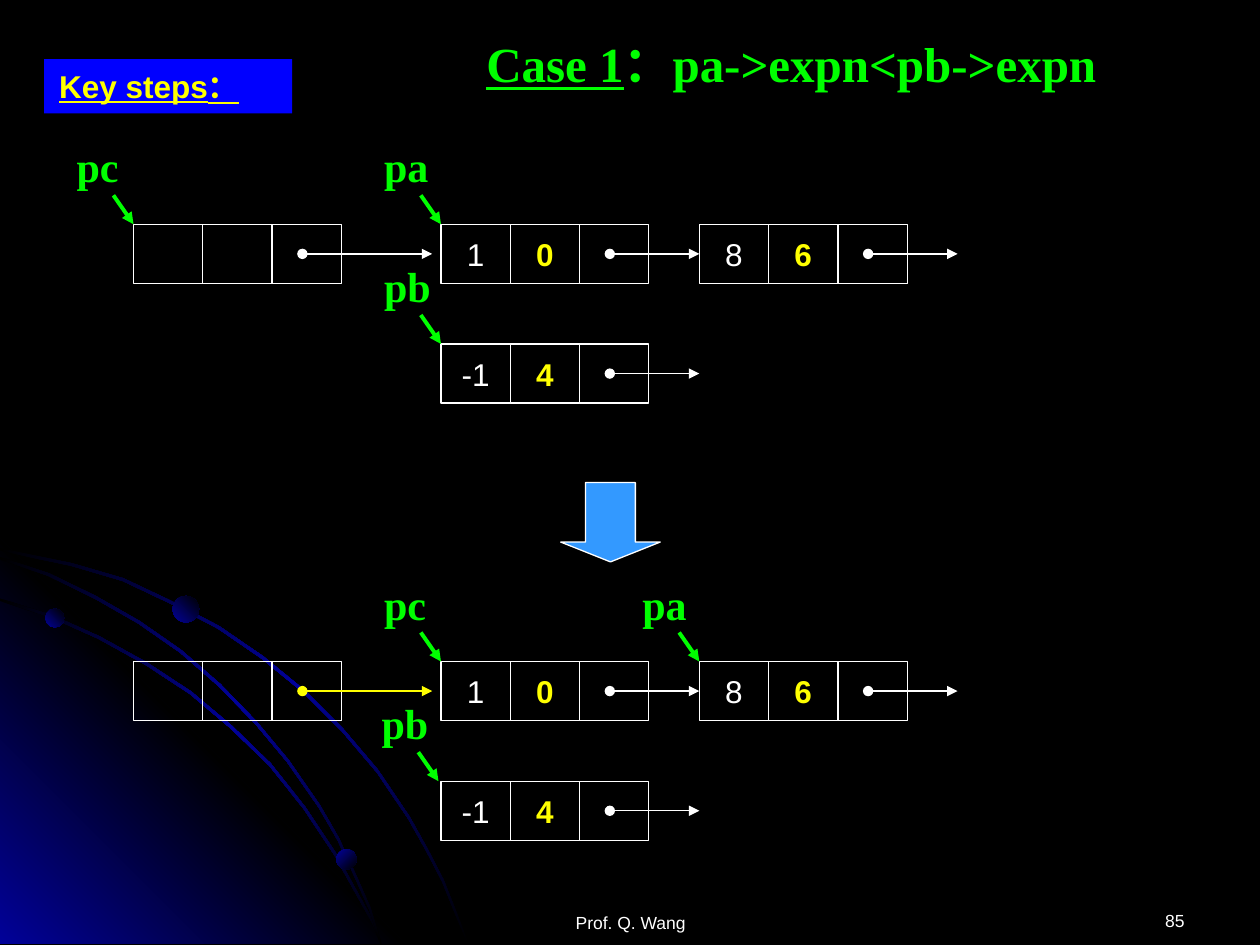
"""Build the slide on merging two linked polynomial lists, case 1."""
import copy
import lxml.etree
import pptx
import pptx.dml.color
import pptx.enum.shapes
import pptx.enum.text
import pptx.oxml.ns
import pptx.util

Inches = pptx.util.Inches
Shape = pptx.enum.shapes.MSO_SHAPE
Align = pptx.enum.text.PP_ALIGN
Fit = pptx.enum.text.MSO_AUTO_SIZE
Anchor = pptx.enum.text.MSO_ANCHOR
qn = pptx.oxml.ns.qn

WHITE, GREEN, YELLOW = "FFFFFF", "00FF00", "FFFF00"
BLACK, NAVY = "000000", "010199"
CELL, TALL = 0.55, 0.47
LEFTS = (1.06, 3.5, 5.55)
DROP = 0.95
WIDE = {"margin_left": Inches(0.12), "margin_right": Inches(0.12),
        "margin_top": Inches(0.06), "margin_bottom": Inches(0.06)}
LABEL = {"size": pptx.util.Pt(24), "name": "Times New Roman", "bold": True}
BODY = {"size": pptx.util.Pt(18), "name": "Arial"}
SMALL = {"size": pptx.util.Pt(10), "name": "Arial"}

CURVES = (
    ((0, 4.35), (0.28, 4.41), (0.57, 4.47), (0.98, 4.59), (1.36, 4.77),
     (1.74, 4.97), (2.09, 5.21), (2.42, 5.48), (2.72, 5.78), (3, 6.11),
     (3.25, 6.48), (3.39, 6.73), (3.52, 6.98), (3.62, 7.23), (3.72, 7.49)),
    ((0, 4.75), (0.41, 4.88), (0.79, 5.05), (1.17, 5.26), (1.52, 5.49),
     (1.84, 5.76), (2.15, 6.06), (2.42, 6.4), (2.66, 6.76), (2.86, 7.12),
     (2.96, 7.3), (3.03, 7.49)),
    ((0, 4.42), (0.39, 4.55), (0.76, 4.73), (1.11, 4.93), (1.44, 5.16),
     (1.75, 5.43), (2.04, 5.73), (2.29, 6.03), (2.54, 6.39), (2.69, 6.65),
     (2.82, 6.93), (2.94, 7.2), (3.03, 7.49)),
)


def rgb(code):
    """Turn a hex string into a colour."""
    return pptx.dml.color.RGBColor.from_string(code)


def put(obj, vals):
    """Set each named value on an object."""
    for name, val in vals.items():
        setattr(obj, name, val)


def write(frame, runs, font, hue, align=Align.LEFT):
    """Fill the first paragraph with runs of text and underline flags."""
    para = frame.paragraphs[0]
    para.alignment = align
    for text, under in runs:
        run = para.add_run()
        run.text = text
        put(run.font, {**font, "underline": under})
        run.font.color.rgb = rgb(hue)


def block(slide, kind, box, fill=None, line=None):
    """Add a preset shape with a flat fill and a thin line."""
    shape = slide.shapes.add_shape(kind, *map(Inches, box))
    shape.shadow.inherit = False
    for paint, hue in ((shape.fill, fill), (shape.line.fill, line)):
        if hue:
            paint.solid()
            paint.fore_color.rgb = rgb(hue)
        else:
            paint.background()
    if line:
        shape.line.width = pptx.util.Pt(0.75)
    return shape


def blend(shape, hues, angle):
    """Give a shape an evenly spaced gradient at an anticlockwise angle."""
    shape.shadow.inherit = False
    shape.line.fill.background()
    shape.fill.gradient()
    shape.fill.gradient_angle = angle
    stops = shape._element.spPr.find(".//" + qn("a:gsLst"))
    for _ in hues[2:]:
        stops.append(copy.deepcopy(stops[0]))
    for rank, (stop, hue) in enumerate(zip(shape.fill.gradient_stops, hues)):
        stop.position = rank / (len(hues) - 1)
        stop.color.rgb = rgb(hue)


def outline(slide, points):
    """Add a closed outline through points in inches."""
    spots = [(Inches(x), Inches(y)) for x, y in points]
    pen = slide.shapes.build_freeform(*spots[0])
    pen.add_line_segments(spots[1:], close=True)
    return pen.convert_to_shape()


def arrow(slide, start, end, hue, width=0.75, head=None):
    """Add a straight arrow, with an optional mark at its start."""
    link = slide.shapes.add_connector(
        pptx.enum.shapes.MSO_CONNECTOR.STRAIGHT, *map(Inches, start + end))
    put(link.line, {"width": pptx.util.Pt(width)})
    link.line.color.rgb = rgb(hue)
    props = link._element.spPr
    line = props.find(qn("a:ln"))
    if head:
        lxml.etree.SubElement(line, qn("a:headEnd"), type=head)
    lxml.etree.SubElement(line, qn("a:tailEnd"), type="triangle")
    lxml.etree.SubElement(props, qn("a:effectLst"))
    return link


def scene(slide):
    """Draw the glowing corner with its orbits and beads."""
    slide.background.fill.solid()
    slide.background.fill.fore_color.rgb = rgb(BLACK)
    corner = outline(slide, ((0, 4.27), (3.22, 7.49), (0, 7.49)))
    blend(corner, (NAVY, BLACK, NAVY), 45)
    for curve in CURVES:
        back = [(max(0, x - 0.01), min(7.49, y + 0.02))
                for x, y in reversed(curve)]
        blend(outline(slide, [*curve, *back]), (BLACK, NAVY, BLACK), 315)
    for x, y, size, angle in ((0.36, 4.83, 0.15, 45), (2.67, 6.74, 0.16, 315),
                              (1.37, 4.73, 0.21, 45)):
        bead = block(slide, Shape.OVAL, (x, y, size, size))
        blend(bead, (NAVY, BLACK), angle)


def header(slide):
    """Place the title and the key steps tag."""
    title = slide.shapes.title
    put(title, dict(zip(("left", "top", "width", "height"),
                        map(Inches, (3.74, 0.21, 5.67, 0.59)))))
    put(title.text_frame, {**WIDE, "word_wrap": True, "auto_size": Fit.NONE,
                           "vertical_anchor": Anchor.TOP})
    write(title.text_frame, (("Case 1", True), ("：pa->expn<pb->expn", False)),
          {**LABEL, "size": pptx.util.Pt(28)}, GREEN)
    steps = block(slide, Shape.RECTANGLE, (0.35, 0.47, 1.97, 0.43), "0000FF")
    put(steps.text_frame, {**WIDE, "word_wrap": True,
                           "vertical_anchor": Anchor.TOP})
    write(steps.text_frame, (("Key steps：", True),),
          {**BODY, "bold": True}, YELLOW)


def footer(slide):
    """Place the author and the slide number."""
    for box, text, align in (((3.42, 7.19, 3.17, 0.3), "Prof. Q. Wang", Align.CENTER),
                             ((7.17, 7.17, 2.33, 0.3), "85", Align.RIGHT)):
        area = slide.shapes.add_textbox(*map(Inches, box))
        area.text_frame.word_wrap = True
        write(area.text_frame, ((text, False),), SMALL, WHITE, align)


def node(slide, left, top, vals):
    """Draw a three-cell list node and return its first cell."""
    cells = []
    for col, text in enumerate((*vals, "")):
        cell = block(slide, Shape.RECTANGLE,
                     (left + col * CELL, top, CELL, TALL), line=WHITE)
        put(cell.text_frame, {"word_wrap": False,
                              "vertical_anchor": Anchor.MIDDLE})
        if text:
            write(cell.text_frame, ((text, False),), {**BODY, "bold": col == 1},
                  YELLOW if col == 1 else WHITE, Align.CENTER)
        cells.append(cell)
    return cells[0]


def link(slide, left, top, reach, hue=WHITE):
    """Draw the pointer that leaves a node for the next one."""
    mid = top + TALL / 2
    return arrow(slide, (left + 1.34, mid), (left + reach, mid), hue, head="oval")


def tag(slide, text, left, top):
    """Name a pointer that aims at the corner of a node."""
    box = slide.shapes.add_textbox(
        *map(Inches, (left - 0.55, top - 0.71, 0.6, 0.5)))
    put(box.text_frame, {"word_wrap": False, "auto_size": Fit.NONE,
                         "margin_right": 0})
    write(box.text_frame, ((text, False),), LABEL, GREEN)
    arrow(slide, (left - 0.16, top - 0.23), (left, top), GREEN, 2.25)


def state(slide, top, tags, hue):
    """Draw both lists at one moment, with their named pointers."""
    first, mid, last = LEFTS
    node(slide, first, top, ("", ""))
    link(slide, first, top, 2.37, hue)
    node(slide, mid, top, ("1", "0"))
    tail = node(slide, last, top, ("8", "6"))
    link(slide, mid, top, 2.05).end_connect(tail, 1)
    link(slide, last, top, 2.05)
    node(slide, mid, top + DROP, ("-1", "4"))
    link(slide, mid, top + DROP, 2.05)
    for text, left, drop in tags:
        tag(slide, text, left, top + drop)


def main():
    """Build and save the slide."""
    deck = pptx.Presentation()
    put(deck, {"slide_width": Inches(10), "slide_height": Inches(7.5)})
    slide = deck.slides.add_slide(deck.slide_layouts[5])
    first, mid, last = LEFTS
    scene(slide)
    header(slide)
    footer(slide)
    state(slide, 1.78, (("pc", first, 0), ("pa", mid, 0), ("pb", mid, DROP)), WHITE)
    block(slide, Shape.DOWN_ARROW, (4.45, 3.83, 0.79, 0.63), "3399FF", WHITE).adjustments[1] = 0.25
    state(slide, 5.25, (("pc", mid, 0), ("pa", last, 0), ("pb", mid - 0.02, DROP)), YELLOW)
    deck.save("out.pptx")


if __name__ == "__main__":
    main()
